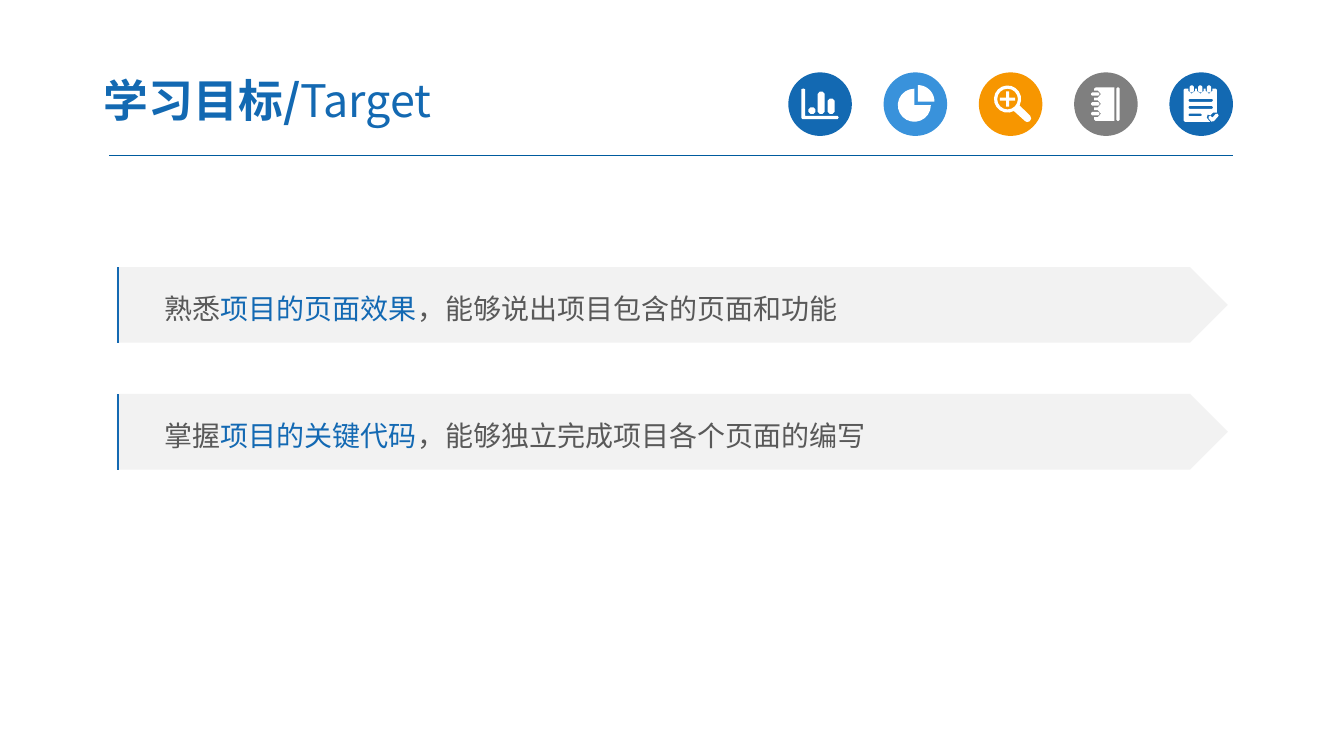
from math import cos, radians, sin

from lxml import etree
from pptx import Presentation
from pptx.dml.color import RGBColor
from pptx.enum.shapes import MSO_CONNECTOR, MSO_SHAPE as Preset
from pptx.enum.text import MSO_ANCHOR, MSO_AUTO_SIZE, PP_ALIGN
from pptx.oxml.ns import qn
from pptx.util import Pt

BLUE = RGBColor(0x13, 0x69, 0xB2)
TEXT_BLUE = RGBColor(0x13, 0x69, 0xB3)
RULE_BLUE = RGBColor(0x00, 0x5B, 0x9E)
LIGHT_BLUE = RGBColor(0x39, 0x92, 0xDB)
ORANGE = RGBColor(0xF7, 0x96, 0x00)
GRAY = RGBColor(0x7F, 0x7F, 0x7F)
TEXT_GRAY = RGBColor(0x59, 0x59, 0x59)
BANNER_GRAY = RGBColor(0xF2, 0xF2, 0xF2)
WHITE = RGBColor(0xFF, 0xFF, 0xFF)
FONT = "Noto Sans CJK SC"


def paint(shape, color):
    shape.shadow.inherit = False
    shape.fill.solid()
    shape.fill.fore_color.rgb = color
    shape.line.fill.background()


def arc(center_x, center_y, radius, start, end, steps=16):
    angles = [radians(start + (end - start) * step / steps) for step in range(steps + 1)]
    return [(center_x + radius * cos(angle), center_y + radius * sin(angle)) for angle in angles]


presentation = Presentation()
presentation.slide_width = Pt(960)
presentation.slide_height = Pt(540)
slide = presentation.slides.add_slide(presentation.slide_layouts[5])

title = slide.shapes.title
title.left, title.top, title.width, title.height = Pt(64.4), Pt(45.4), Pt(376), Pt(52)
title_frame = title.text_frame
title_frame.auto_size = MSO_AUTO_SIZE.NONE
title_frame.margin_left = title_frame.margin_right = Pt(9.6)
title_frame.margin_top = title_frame.margin_bottom = Pt(5)
texts = [(title_frame, 32, [("学习目标/", BLUE, True), ("Target", BLUE, False)])]

axis = [(9.4, 12), (10.7, 11.5), (12, 12), (12, 31), (35.2, 31), (36, 32.2), (35.2, 33.4),
        (10.2, 33.4), (9.4, 32.6)]
bars = [(14.4, 25, 5, 4.6), (21, 13.8, 5, 15.8), (28.1, 18.8, 5, 10.8)]

pie = arc(22, 23.5, 11.8, 0, 270) + [(22, 23.5)]
slice_outline = arc(24.5, 21, 11.9, 270, 360) + [(24.5, 21)]

lens = arc(20.5, 19.1, 9.7, 62, 388) + [
    (36.7, 31), (37.4, 33.1), (36.3, 35), (34.4, 35.5), (33, 34.8)]
lens_hole = arc(20.5, 19.1, 7.4, 0, 360)
plus = [(19.4, 13.7), (21.6, 13.7), (21.6, 18), (25.9, 18), (25.9, 20.2), (21.6, 20.2),
        (21.6, 24.5), (19.4, 24.5), (19.4, 20.2), (15.1, 20.2), (15.1, 18), (19.4, 18)]

cover = [(28.8, 34.6), (28.8, 10.8), (15.4, 10.8), (14.4, 11.6)]
pad = [(31.2, 28.8), (29.4, 30.6), (27.4, 30.2), (26.6, 32.4), (29, 35.3), (11, 35.3),
       (10.1, 34.4), (10.1, 12.5), (11, 11.6)]
spine_rings, pad_rings = [(30.2, 10.8, 2.3, 23.8)], []
for ring in range(3):
    notch_top = 13 + 7 * ring
    cover += [(14.4, notch_top), (17, notch_top), (19.2, notch_top + 2.5),
              (17, notch_top + 5), (14.4, notch_top + 5)]
    spine_rings.append((12.2, notch_top + 1.3, 5.8, 2.4))
    notch_left = 13.5 + 6.2 * ring
    pad += [(notch_left, 11.6), (notch_left, 13.3), (notch_left + 2.4, 15.3),
            (notch_left + 4.8, 13.3), (notch_left + 4.8, 11.6)]
    pad_rings.append((notch_left + 0.9, 9.4, 3, 5))
cover += [(14.4, 33.8), (15.2, 34.6)]
pad += [(33, 11.6), (33.9, 12.5), (33.9, 28.8), (32.6, 28.8)]
check = [(28.1, 31.6), (29.2, 31), (30.8, 32.3), (33, 29.8), (34.4, 29.5), (35.2, 31),
         (31.8, 34.9), (29.9, 35.2), (28.1, 33)]
pad_lines = [(13.7, 18.9, 17.3, 2.2), (13.7, 24, 17.3, 2.2), (13.7, 29.5, 9.4, 1.8)]

icons = [
    (BLUE, [axis], bars),
    (LIGHT_BLUE, [pie, slice_outline], []),
    (ORANGE, [lens, lens_hole, plus], []),
    (GRAY, [cover], spine_rings),
    (BLUE, [pad, check], pad_rings + pad_lines),
]
ICON_TOP = 51.7
for index, (color, outlines, bars_or_rings) in enumerate(icons):
    icon_left = 563.1 + 68.05 * index
    for left, top, width, height in bars_or_rings:
        right, bottom, cut = left + width, top + height, 0.3 * min(width, height)
        outlines.append([
            (left + cut, top), (right - cut, top), (right, top + cut), (right, bottom - cut),
            (right - cut, bottom), (left + cut, bottom), (left, bottom - cut), (left, top + cut)])
    icon = slide.shapes.add_group_shape()
    paint(icon.shapes.add_shape(Preset.OVAL, Pt(icon_left), Pt(ICON_TOP), Pt(45.4), Pt(45.4)), color)
    contours = [[(Pt(icon_left + x), Pt(ICON_TOP + y)) for x, y in outline] for outline in outlines]
    builder = icon.shapes.build_freeform(*contours[0][0])
    for number, contour in enumerate(contours):
        if number:
            builder.move_to(*contour[0])
        builder.add_line_segments(contour[1:], close=True)
    paint(builder.convert_to_shape(), WHITE)

goals = [
    ("熟悉", "项目的页面效果", "，能够说出项目包含的页面和功能"),
    ("掌握", "项目的关键代码", "，能够独立完成项目各个页面的编写"),
]
lines = [(78, 111.4, 880.6, 111.4, RULE_BLUE, 0.75)]
for index, (verb, topic, outcome) in enumerate(goals):
    top = 190.8 + 90.6 * index
    banner = slide.shapes.add_shape(Preset.PENTAGON, Pt(83.5), Pt(top), Pt(793.5), Pt(54))
    paint(banner, BANNER_GRAY)
    banner.text_frame.margin_left = Pt(34)
    banner.text_frame.paragraphs[0].line_spacing = 1.2
    texts.append((banner.text_frame, 20, [
        (verb, TEXT_GRAY, False), (topic, TEXT_BLUE, False), (outcome, TEXT_GRAY, False)]))
    lines.append((84.2, top + 54, 84.2, top, BLUE, 1.5))

for text_frame, size, segments in texts:
    text_frame.word_wrap = True
    text_frame.vertical_anchor = MSO_ANCHOR.MIDDLE
    paragraph = text_frame.paragraphs[0]
    paragraph.alignment = PP_ALIGN.LEFT
    for text, color, bold in segments:
        run = paragraph.add_run()
        run.text = text
        run.font.size = Pt(size)
        run.font.bold = bold
        run.font.color.rgb = color
        run.font.name = FONT
        east_asian = etree.SubElement(run.font._element, qn("a:ea"))
        east_asian.set("typeface", FONT)

for start_x, start_y, end_x, end_y, color, width in lines:
    line = slide.shapes.add_connector(MSO_CONNECTOR.STRAIGHT, Pt(start_x), Pt(start_y),
                                      Pt(end_x), Pt(end_y))
    line.line.color.rgb = color
    line.line.width = Pt(width)
    etree.SubElement(line._element.spPr, qn("a:effectLst"))

presentation.save("out.pptx")
